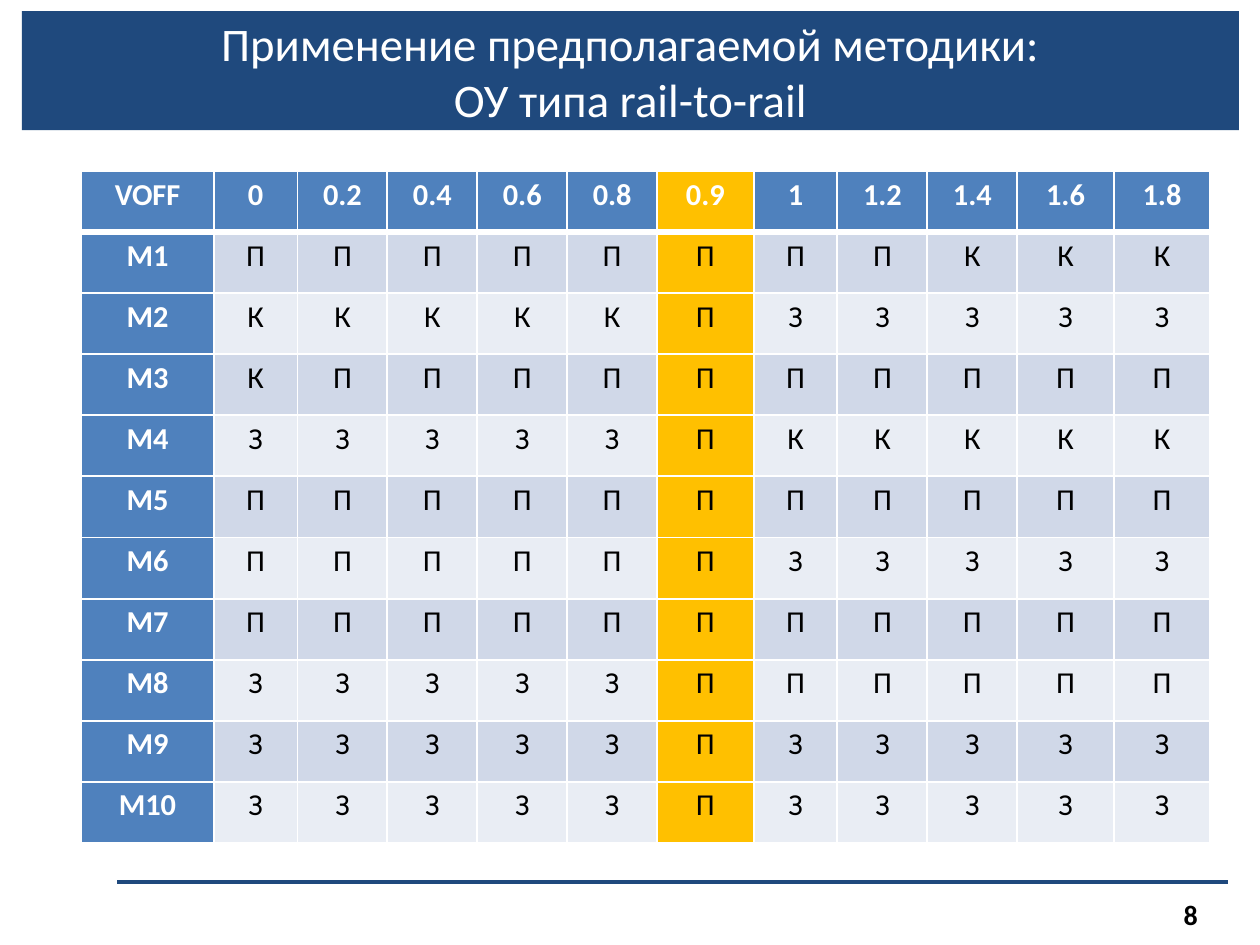
from lxml import etree
from pptx import Presentation
from pptx import util as u
from pptx.dml.color import RGBColor
from pptx.enum import shapes, text
from pptx.oxml import ns

COLOURS = {
    "navy": "1F497D", "header": "4F81BD", "highlight": "FFC000",
    "band_dark": "D0D8E8", "band_light": "E9EDF4",
    "white": "FFFFFF", "black": "000000",
}
FONT = "Calibri"
VOLTAGES = ["0", "0.2", "0.4", "0.6", "0.8", "0.9", "1", "1.2", "1.4", "1.6", "1.8"]
HIGHLIGHT_COLUMN = 1 + VOLTAGES.index("0.9")
MODES = {
    "М1": "ППППППППККК",
    "М2": "КККККПЗЗЗЗЗ",
    "М3": "КПППППППППП",
    "М4": "ЗЗЗЗЗПККККК",
    "М5": "ППППППППППП",
    "М6": "ППППППЗЗЗЗЗ",
    "М7": "ППППППППППП",
    "М8": "ЗЗЗЗЗПППППП",
    "M9": "ЗЗЗЗЗПЗЗЗЗЗ",
    "M10": "ЗЗЗЗЗПЗЗЗЗЗ",
}
COLUMN_WIDTHS = [2, 1.27] + [1.36] * 4 + [1.46, 1.27] + [1.36] * 2 + [1.46] * 2


def colour(name):
    """Return the named colour."""
    return RGBColor.from_string(COLOURS[name])


def set_format(target, values):
    """Set every attribute in values on target."""
    for name, value in values.items():
        setattr(target, name, value)


def paint(target, name):
    """Give a shape or cell a solid fill."""
    target.fill.solid()
    target.fill.fore_color.rgb = colour(name)


def write(frame, lines, size, font_colour, bold=False, **paragraph_format):
    """Write one paragraph per line, all in the same style."""
    frame.text = "\n".join(lines)
    for paragraph in frame.paragraphs:
        set_format(paragraph, paragraph_format)
        for run in paragraph.runs:
            set_format(run.font, {"name": FONT, "size": u.Pt(size), "bold": bold})
            run.font.color.rgb = colour(font_colour)


def add_title(slide, left, top, width, height):
    """Turn the title placeholder into the navy heading band."""
    title = slide.shapes.title
    set_format(title, {"left": left, "top": top, "width": width, "height": height})
    paint(title, "navy")
    set_format(title.text_frame, {
        "word_wrap": True,
        "auto_size": text.MSO_AUTO_SIZE.NONE,
        "vertical_anchor": text.MSO_ANCHOR.MIDDLE,
    })
    write(title.text_frame, ["Применение предполагаемой методики:", "ОУ типа rail-to-rail"],
          20, "white", alignment=text.PP_ALIGN.CENTER)


def add_borders(cell, widths):
    """Draw white borders; widths maps each side (L, R, T, B) to points."""
    properties = cell._tc.get_or_add_tcPr()
    for side, width in widths.items():
        line = etree.SubElement(properties, ns.qn(f"a:ln{side}"), w=str(u.Pt(width)))
        fill = etree.SubElement(line, ns.qn("a:solidFill"))
        etree.SubElement(fill, ns.qn("a:srgbClr"), val=COLOURS["white"])


def cell_fill(row, column):
    """Choose the fill of a cell from its place in the table."""
    if column == HIGHLIGHT_COLUMN:
        return "highlight"
    if row == 0 or column == 0:
        return "header"
    return "band_dark" if row % 2 else "band_light"


def add_mode_table(slide, left, top, width, height):
    """Add the table of transistor modes against offset voltage."""
    rows = [["VOFF", *VOLTAGES]] + [[name, *modes] for name, modes in MODES.items()]
    table = slide.shapes.add_table(len(rows), len(rows[0]), left, top, width, height).table
    table.first_col = True
    for column, share in zip(table.columns, COLUMN_WIDTHS):
        column.width = int(width * share / sum(COLUMN_WIDTHS))
    for row, values in enumerate(rows):
        for column, value in enumerate(values):
            cell = table.cell(row, column)
            heading = row == 0 or column == 0
            set_format(cell, {"margin_left": u.Cm(0.18), "margin_right": u.Cm(0.18),
                              "margin_top": 0, "margin_bottom": 0})
            add_borders(cell, {"L": 1, "R": 1, "T": 3 if row == 1 else 1,
                               "B": 3 if row == 0 else 1})
            paint(cell, cell_fill(row, column))
            write(cell.text_frame, [value], 13, "white" if heading else "black", heading,
                  alignment=text.PP_ALIGN.CENTER, line_spacing=1.15)


def add_footer(slide, left, top, width, height):
    """Add the footer rule with the page number below its right end."""
    rule = slide.shapes.add_connector(shapes.MSO_CONNECTOR.STRAIGHT,
                                      left, top, left + width, top)
    rule.line.width = u.Pt(1.5)
    rule.line.color.rgb = colour("navy")
    etree.SubElement(rule._element.spPr, ns.qn("a:effectLst"))

    number_width, gap = u.Cm(4.45), u.Cm(0.1)
    number = slide.shapes.add_textbox(left + width - number_width - u.Cm(0.28), top + gap,
                                      number_width, height - gap)
    set_format(number.text_frame, {
        "word_wrap": True, "vertical_anchor": text.MSO_ANCHOR.MIDDLE,
        "margin_left": u.Cm(0.18), "margin_right": u.Cm(0.18),
        "margin_top": u.Cm(0.1), "margin_bottom": u.Cm(0.1),
    })
    write(number.text_frame, ["8"], 12, "black", True, alignment=text.PP_ALIGN.RIGHT)


def build():
    """Build and save the presentation."""
    presentation = Presentation()
    set_format(presentation, {"slide_width": u.Cm(19.05), "slide_height": u.Cm(14.29)})
    slide = presentation.slides.add_slide(presentation.slide_layouts.get_by_name("Title Only"))
    add_title(slide, u.Cm(0.33), u.Cm(0.17), u.Cm(18.4), u.Cm(1.8))
    add_mode_table(slide, u.Cm(1.23), u.Cm(2.59), u.Cm(17.08), u.Cm(10.16))
    add_footer(slide, u.Cm(1.77), u.Cm(13.34), u.Cm(16.8), u.Cm(0.86))
    presentation.save("out.pptx")


build()
